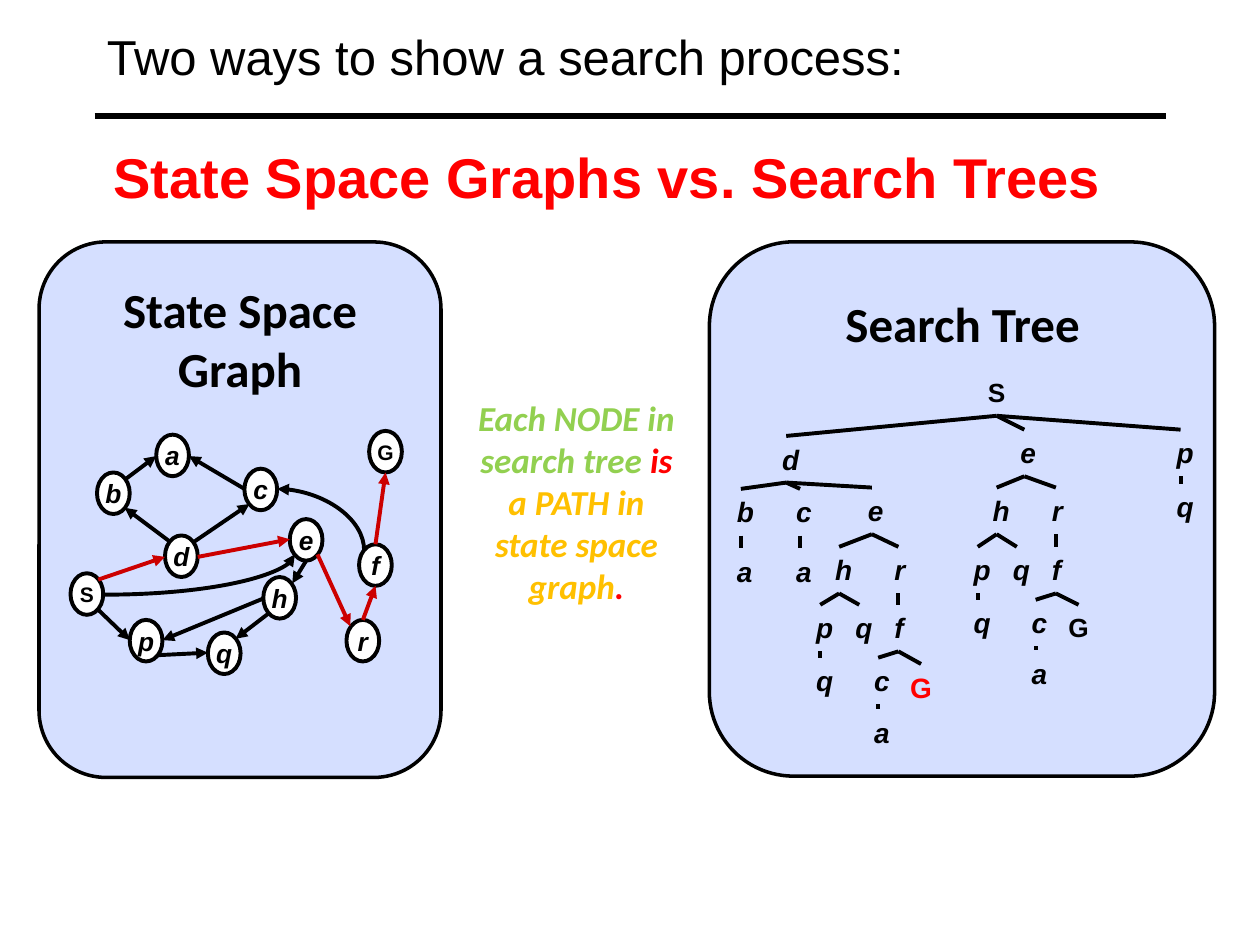
"""Build a slide that sets a state space graph beside its search tree."""
from lxml.etree import SubElement
from pptx import Presentation
from pptx.dml.color import RGBColor
from pptx.enum.shapes import MSO_CONNECTOR, MSO_SHAPE
from pptx.enum.text import MSO_ANCHOR, PP_ALIGN
from pptx.oxml.ns import qn
from pptx.util import Inches, Pt

deck = Presentation()
deck.slide_width, deck.slide_height = Inches(10), Inches(7.5)
cell = deck.slide_width // 1000
slide = deck.slides.add_slide(deck.slide_layouts[6])
shapes = slide.shapes
hue = RGBColor.from_string
BLACK, RED, DARK = "000000", "FF0000", "CC0000"


def write(shape, runs, size, font="Arial", bold=True, slant=False,
          align=PP_ALIGN.CENTER, anchor=MSO_ANCHOR.TOP, wrap=True):
    frame = shape.text_frame
    frame.word_wrap, frame.vertical_anchor = wrap, anchor
    line = frame.paragraphs[0]
    line.alignment = align
    for text, tint in runs:
        run = line.add_run()
        run.text = text
        run.font.name, run.font.size = font, Pt(size)
        run.font.bold, run.font.italic = bold, slant
        run.font.color.rgb = hue(tint)


def link(start, end, tint=BLACK, tip=None, curve=False, width=2.25):
    kind = MSO_CONNECTOR.CURVE if curve else MSO_CONNECTOR.STRAIGHT
    line = shapes.add_connector(kind, *(n * cell for n in (*start, *end)))
    line.line.color.rgb, line.line.width = hue(tint), Pt(width)
    props = line._element.spPr
    if curve:
        props.find(qn("a:prstGeom")).set("prst", "curvedConnector2")
    if tip:
        SubElement(props.find(qn("a:ln")), qn(f"a:{tip}"), type="triangle")
    SubElement(props, qn("a:effectLst"))


link((75, 92), (925, 92), width=3)

for area in (563, 192, 401, 424), (31, 192, 319, 425):
    panel = shapes.add_shape(MSO_SHAPE.ROUNDED_RECTANGLE, *(n * cell for n in area))
    panel.shadow.inherit = False
    panel.fill.solid()
    panel.fill.fore_color.rgb = hue("D5DFFF")
    panel.line.color.rgb, panel.line.width = hue(BLACK), Pt(2)

note = [("Each NODE in search tree ", "92D050"), ("is ", RED),
        ("a PATH in state space graph", "FFC000"), (".", RED)]
for area, runs, size, style in [
    ((75, 8, 850, 72), [("Two ways to show a search process:", BLACK)], 28,
     dict(bold=False, align=PP_ALIGN.LEFT, anchor=MSO_ANCHOR.MIDDLE)),
    ((77, 108, 810, 64), [("State Space Graphs vs. Search Trees", RED)], 32,
     dict(wrap=False)),
    ((50, 217, 281, 104), [("State Space Graph", BLACK)], 28, dict(font="Calibri")),
    ((564, 228, 400, 57), [("Search Tree", BLACK)], 28, dict(font="Calibri")),
    ((362, 310, 191, 178), note, 20, dict(font="Calibri", slant=True)),
]:
    write(shapes.add_textbox(*(n * cell for n in area)), runs, size, **style)

tree = {
    "S": (791, 294),
    "Sd": (624, 346), "Se": (813, 341), "Sp": (937, 341),
    "Sdb": (588, 388), "Sdc": (635, 388), "Sde": (692, 387),
    "Sdba": (588, 435), "Sdca": (635, 435),
    "Sdeh": (666, 434), "Sder": (713, 434),
    "Sdehp": (651, 480), "Sdehq": (682, 480), "Sderf": (713, 480),
    "Sdehpq": (651, 522), "Sderfc": (697, 522), "SderfG": (731, 527),
    "Sderfca": (697, 563),
    "Seh": (791, 387), "Ser": (838, 387),
    "Sehp": (776, 434), "Sehq": (807, 434), "Serf": (838, 434),
    "Sehpq": (776, 476), "Serfc": (822, 476), "SerfG": (856, 480),
    "Serfca": (822, 516),
    "Spq": (937, 384),
}
wide = {"S": 68, "G": 52}
for route, (mid, top) in tree.items():
    name = route[-1]
    goal = route == "SderfG"
    span = wide.get(name, 26)
    box = shapes.add_textbox(*(int(n * cell) for n in (mid - span / 2, top, span, 37)))
    write(box, [(name, RED if goal else BLACK)],
          15 if name in wide and not goal else 16, slant=name not in wide)
    if route[:-1]:
        root, base = tree[route[:-1]]
        link((root, base + (37 if route[:-1] != "S" else 36)), (mid, top))

graph = {"S": (56, 455), "G": (293, 342), "d": (131, 425), "b": (77, 375),
         "p": (103, 492), "q": (165, 502), "c": (194, 372), "e": (230, 412),
         "h": (209, 458), "a": (124, 345), "f": (285, 432), "r": (275, 492)}
for name, (left, top) in graph.items():
    node = shapes.add_shape(MSO_SHAPE.FLOWCHART_CONNECTOR,
                            *(n * cell for n in (left, top, 26, 33)))
    node.shadow.inherit = False
    node.fill.solid()
    node.fill.fore_color.rgb = hue("FFFFFF")
    node.line.color.rgb, node.line.width = hue(BLACK), Pt(2.25)
    write(node, [(name, BLACK)], 12 if name in wide else 15,
          slant=name not in wide, anchor=MSO_ANCHOR.MIDDLE, wrap=False)

for tint, pairs in {
    BLACK: [((78, 484), (103, 508)), ((125, 520), (165, 518)),
            ((213, 487), (187, 507)), ((209, 475), (129, 508)),
            ((243, 445), (232, 463)), ((135, 430), (99, 403)),
            ((100, 380), (124, 362)), ((194, 388), (150, 362)),
            ((154, 430), (198, 400))],
    DARK: [((252, 440), (278, 497)), ((288, 492), (298, 465)),
           ((298, 432), (306, 375)), ((78, 460), (131, 442)),
           ((157, 442), (230, 428))],
}.items():
    for start, end in pairs:
        link(start, end, tint, "tailEnd")
link((220, 388), (289, 437), tip="headEnd", curve=True)
link((82, 472), (234, 440), tip="tailEnd", curve=True)

deck.save("out.pptx")
